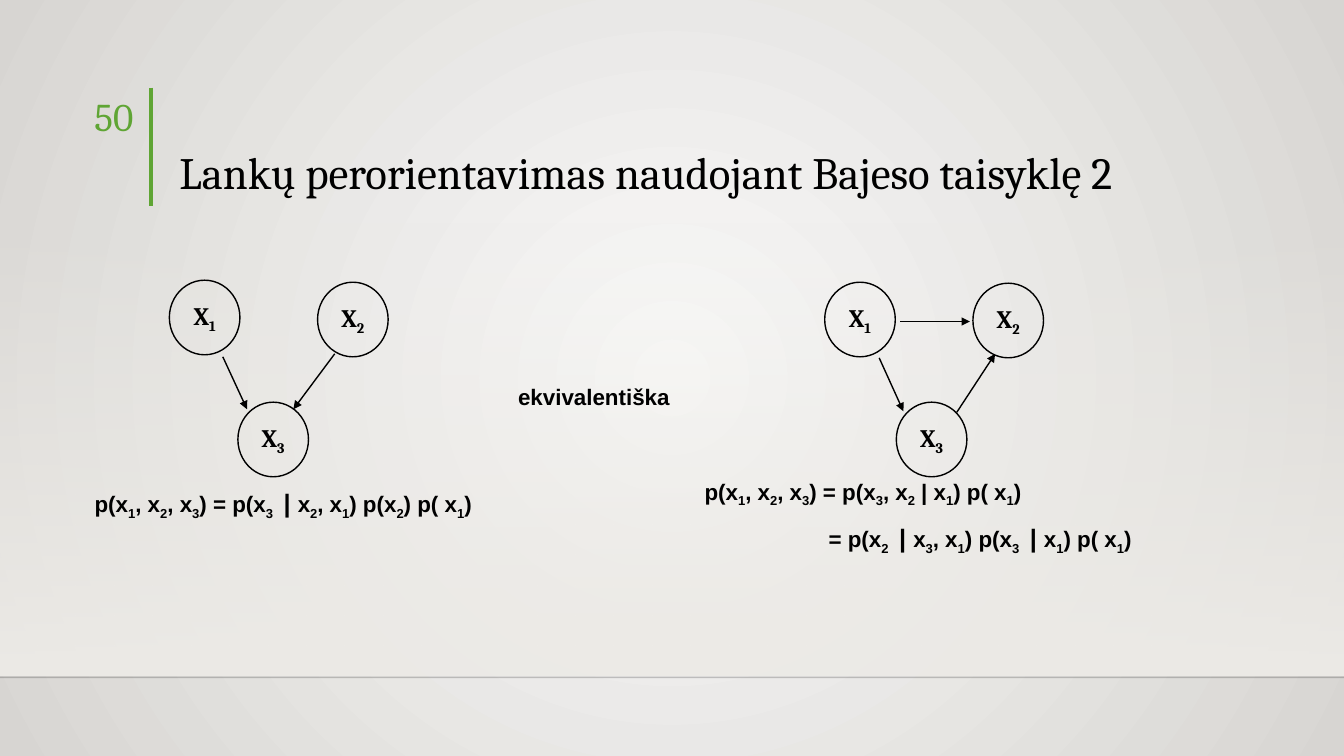
from lxml import etree
from pptx import Presentation
from pptx.dml.color import RGBColor
from pptx.enum.shapes import MSO_CONNECTOR, MSO_SHAPE
from pptx.enum.text import MSO_ANCHOR, MSO_AUTO_SIZE, PP_ALIGN
from pptx.oxml.ns import qn
from pptx.util import Inches, Pt

STRAIGHT = MSO_CONNECTOR.STRAIGHT
OVAL, RECTANGLE = MSO_SHAPE.OVAL, MSO_SHAPE.RECTANGLE
LEFT, CENTER, RIGHT = PP_ALIGN.LEFT, PP_ALIGN.CENTER, PP_ALIGN.RIGHT
TOP, MIDDLE, BOTTOM = MSO_ANCHOR.TOP, MSO_ANCHOR.MIDDLE, MSO_ANCHOR.BOTTOM
NO_AUTOFIT = MSO_AUTO_SIZE.NONE

COLORS = {"ink": "000000", "accent": "5FA534", "center": "FAFAF9",
          "edge": "D7D5D2", "floor": "EDEBE7"}
SERIF, SANS = "Cambria", "Arial"
NODE_WIDTH, NODE_HEIGHT = 0.7, 0.74


def color(name):
    return RGBColor.from_string(COLORS[name])


def set_alpha(color_element, percent):
    etree.SubElement(color_element, qn("a:alpha"), val=str(percent * 1000))


def fill_gradient(fill, first, last):
    """Apply a two-stop gradient and return its XML element."""
    fill.gradient()
    for stop, name in zip(fill.gradient_stops, (first, last)):
        stop.color.rgb = color(name)
    return fill._xPr.find(qn("a:gradFill"))


def paint_background(slide):
    gradient = fill_gradient(slide.background.fill, "center", "edge")
    gradient.remove(gradient.find(qn("a:lin")))
    circle = etree.SubElement(gradient, qn("a:path"), path="circle")
    etree.SubElement(circle, qn("a:fillToRect"),
                     l="50000", t="50000", r="50000", b="50000")


def add_floor_band(slide):
    band = slide.shapes.add_shape(RECTANGLE, 0, Inches(2.2), Inches(13.33), Inches(4.5))
    band.shadow.inherit = False
    band.line.fill.background()
    gradient = fill_gradient(band.fill, "floor", "floor")
    band.fill.gradient_angle = 270
    set_alpha(next(gradient.iter(qn("a:srgbClr"))), 0)


def add_line(shapes, start, end, name="ink", width=1, arrow=False):
    line = shapes.add_connector(STRAIGHT, *map(Inches, start + end))
    line.line.color.rgb = color(name)
    line.line.width = Pt(width)
    if arrow:
        etree.SubElement(line.line._get_or_add_ln(), qn("a:tailEnd"), type="triangle")
    etree.SubElement(line._element.spPr, qn("a:effectLst"))
    return line


def add_marked_runs(paragraph, marked, size, font, name="ink", bold=True, bar_size=None):
    """Write text in which each part between two underscores is a subscript."""
    for index, part in enumerate(marked.split("_")):
        for piece in part.partition(" | "):
            if not piece:
                continue
            run = paragraph.add_run()
            run.text = piece
            run.font.name = font
            run.font.bold = bold
            run.font.color.rgb = color(name)
            run.font.size = Pt(bar_size if bar_size and piece == " | " else size)
            if index % 2:
                run.font._element.set("baseline", "-25000")


def add_text(slide, box, align=LEFT):
    """Add a wrapping text box and return its first paragraph."""
    frame = slide.shapes.add_textbox(*map(Inches, box)).text_frame
    frame.word_wrap = True
    frame.vertical_anchor = TOP
    frame.paragraphs[0].alignment = align
    return frame.paragraphs[0], frame


def add_formula(slide, box, lines, bar_sizes, indent=0):
    """Write a formula; lines after the first are indented."""
    paragraph, frame = add_text(slide, box)
    for index, (line, bar_size) in enumerate(zip(lines, bar_sizes)):
        if index:
            paragraph = frame.add_paragraph()
            paragraph.space_before = Pt(10)
            paragraph._p.get_or_add_pPr().set("marL", str(Inches(indent)))
        add_marked_runs(paragraph, line, 16, SANS, bar_size=bar_size)


def add_node(shapes, number, left, top):
    node = shapes.add_shape(OVAL, Inches(left), Inches(top),
                            Inches(NODE_WIDTH), Inches(NODE_HEIGHT))
    node.shadow.inherit = False
    node.fill.background()
    node.line.color.rgb = color("ink")
    node.line.width = Pt(1)
    frame = node.text_frame
    frame.word_wrap = False
    frame.vertical_anchor = MIDDLE
    frame.paragraphs[0].alignment = CENTER
    add_marked_runs(frame.paragraphs[0], f"X_{number}_", 18, SERIF)


def add_graph(slide, nodes, arcs):
    shapes = slide.shapes.add_group_shape().shapes
    for number, (left, top) in nodes.items():
        add_node(shapes, number, left, top)
    for start, end in arcs:
        add_line(shapes, start, end, arrow=True)


def set_title(slide, text):
    title = slide.shapes.title
    title.left, title.top = Inches(1.68), Inches(0.88)
    title.width, title.height = Inches(10.41), Inches(1.15)
    frame = title.text_frame
    frame.auto_size = NO_AUTOFIT
    frame.vertical_anchor = BOTTOM
    paragraph = frame.paragraphs[0]
    paragraph.alignment = LEFT
    paragraph.line_spacing = 0.9
    add_marked_runs(paragraph, text, 32, SERIF, bold=False)


def main():
    deck = Presentation()
    deck.slide_width, deck.slide_height = Inches(13.33), Inches(7.5)
    slide = deck.slides.add_slide(deck.slide_layouts[5])

    paint_background(slide)
    add_floor_band(slide)
    horizon = add_line(slide.shapes, (0, 6.72), (13.33, 6.72))
    set_alpha(next(horizon._element.spPr.iter(qn("a:srgbClr"))), 20)
    add_line(slide.shapes, (1.5, 0.87), (1.5, 2.04), "accent", 3)

    set_title(slide, "Lankų perorientavimas naudojant Bajeso taisyklę 2")
    page_number, _ = add_text(slide, (0.53, 0.87, 0.89, 0.82), RIGHT)
    add_marked_runs(page_number, "50", 28, SERIF, "accent", bold=False)
    relation, _ = add_text(slide, (4.82, 3.75, 2.14, 0.36), CENTER)
    add_marked_runs(relation, "ekvivalentiška", 16, SANS)

    add_graph(slide, {1: (1.68, 2.78), 3: (2.36, 3.99), 2: (3.15, 2.8)},
              [((3.32, 3.51), (2.91, 4.06)), ((2.21, 3.54), (2.45, 4.06))])
    add_formula(slide, (0.84, 4.79, 4.29, 0.4),
                ["p(x_1_, x_2_, x_3_) = p(x_3 _ | x_2_, x_1_) p(x_2_) p( x_1_)"], [18])

    add_graph(slide, {1: (8.18, 2.8), 3: (8.89, 3.99), 2: (9.65, 2.81)},
              [((8.93, 3.19), (9.62, 3.19)), ((9.49, 4.09), (9.87, 3.51)),
               ((8.72, 3.55), (8.96, 4.08))])
    add_formula(slide, (6.89, 4.69, 4.66, 0.85),
                ["p(x_1_, x_2_, x_3_) = p(x_3_, x_2_ | x_1_) p( x_1_)",
                 "= p(x_2 _ | x_3_, x_1_) p(x_3 _ | x_1_) p( x_1_)"],
                [16, 18], indent=1.23)

    deck.save("out.pptx")


if __name__ == "__main__":
    main()
